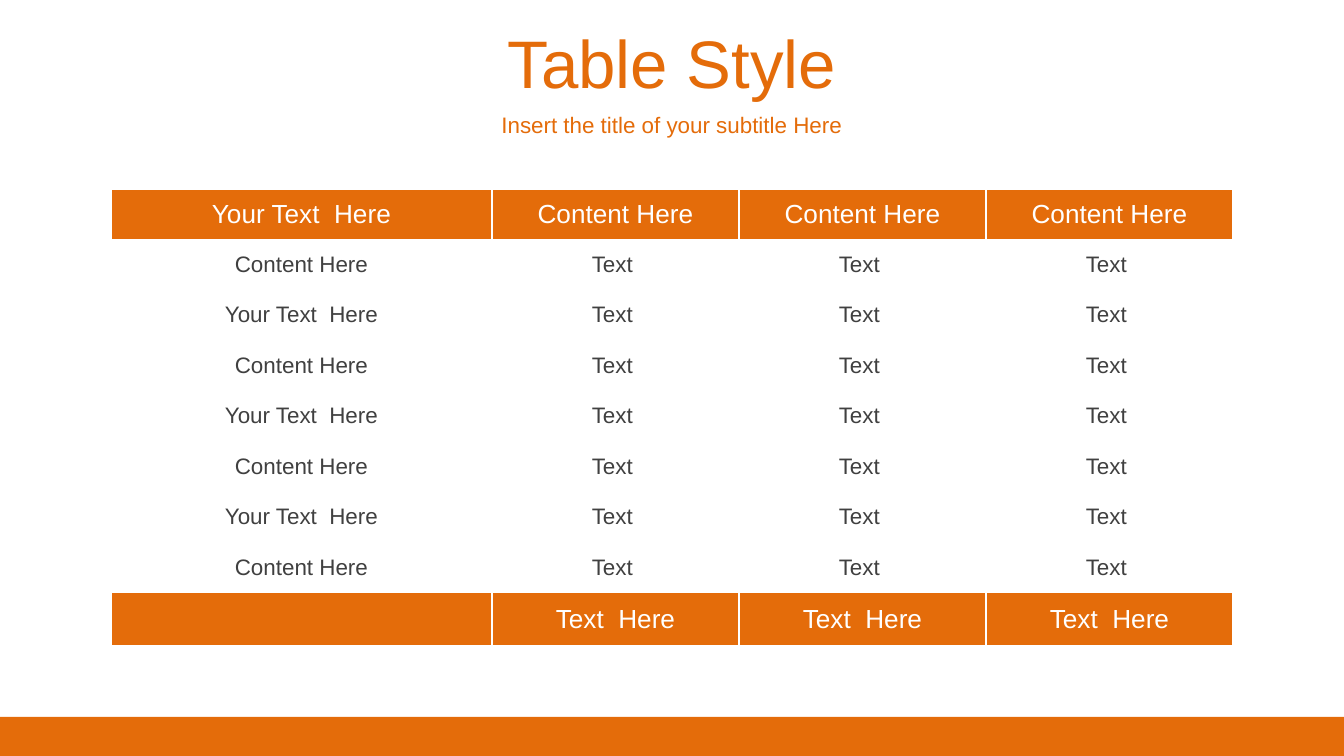
from dataclasses import dataclass

from pptx import Presentation
from pptx.dml.color import RGBColor
from pptx.enum.shapes import MSO_SHAPE
from pptx.enum.text import MSO_ANCHOR, PP_ALIGN
from pptx.util import Pt

SCALE = 914400 / 134.4


def px(n):
    return round(n * SCALE)


@dataclass(frozen=True)
class Theme:
    face: str = "Arial"
    main: str = "E46C0A"
    paper: str = "FFFFFF"
    ink: str = "404040"
    title: int = 36
    head: int = 14
    body: int = 12


class Deck:
    def __init__(self, theme):
        self.theme = theme
        self.file = Presentation()
        self.file.slide_width, self.file.slide_height = px(1344), px(756)
        self.slide = self.file.slides.add_slide(self.file.slide_layouts[6])

    def paint(self, item, color):
        item.fill.solid()
        item.fill.fore_color.rgb = RGBColor.from_string(color)

    def line(self, frame, text, size, color):
        """Put one centred line into a text frame."""
        para = frame.paragraphs[0]
        para.alignment = PP_ALIGN.CENTER
        run = para.add_run()
        run.text = text
        style = {"name": self.theme.face, "size": Pt(size)}
        for key, value in style.items():
            setattr(run.font, key, value)
        run.font.color.rgb = RGBColor.from_string(color)

    def bar(self, *box):
        shape = self.slide.shapes.add_shape(MSO_SHAPE.RECTANGLE, *map(px, box))
        shape.shadow.inherit = False
        shape.line.fill.background()
        self.paint(shape, self.theme.main)

    def label(self, text, size, *box):
        frame = self.slide.shapes.add_textbox(*map(px, box)).text_frame
        style = {"word_wrap": True, "vertical_anchor": MSO_ANCHOR.MIDDLE}
        for key, value in style.items():
            setattr(frame, key, value)
        self.line(frame, text, size, self.theme.main)

    def table(self, rows, cols, left, top, height):
        """Draw a grid whose first and last rows are accented."""
        look = self.theme
        grid = self.slide.shapes.add_table(
            len(rows), len(cols), px(left), px(top), px(sum(cols)), px(height)
        ).table
        for col, width in zip(grid.columns, cols):
            col.width = px(width)
        for r, row in enumerate(rows):
            grid.rows[r].height = px(height / len(rows))
            if r in (0, len(rows) - 1):
                fill, size, color = look.main, look.head, look.paper
            else:
                fill, size, color = look.paper, look.body, look.ink
            for c, text in enumerate(row):
                cell = grid.cell(r, c)
                cell.vertical_anchor = MSO_ANCHOR.MIDDLE
                self.paint(cell, fill)
                self.line(cell.text_frame, text, size, color)


def main():
    theme = Theme()
    deck = Deck(theme)
    deck.bar(0, 717, 1344, 39)
    deck.label("Table Style", theme.title, 0, 19, 1344, 85)
    deck.label("Insert the title of your subtitle Here", theme.body, 0, 104, 1344, 41)

    names = ["Content Here", "Your Text  Here"]
    head = ["Your Text  Here"] + ["Content Here"] * 3
    body = [[names[i % 2]] + ["Text "] * 3 for i in range(7)]
    foot = [""] + ["Text  Here"] * 3
    deck.table([head, *body, foot], [381] + [247] * 3, 111, 189, 454)
    deck.file.save("out.pptx")


if __name__ == "__main__":
    main()
